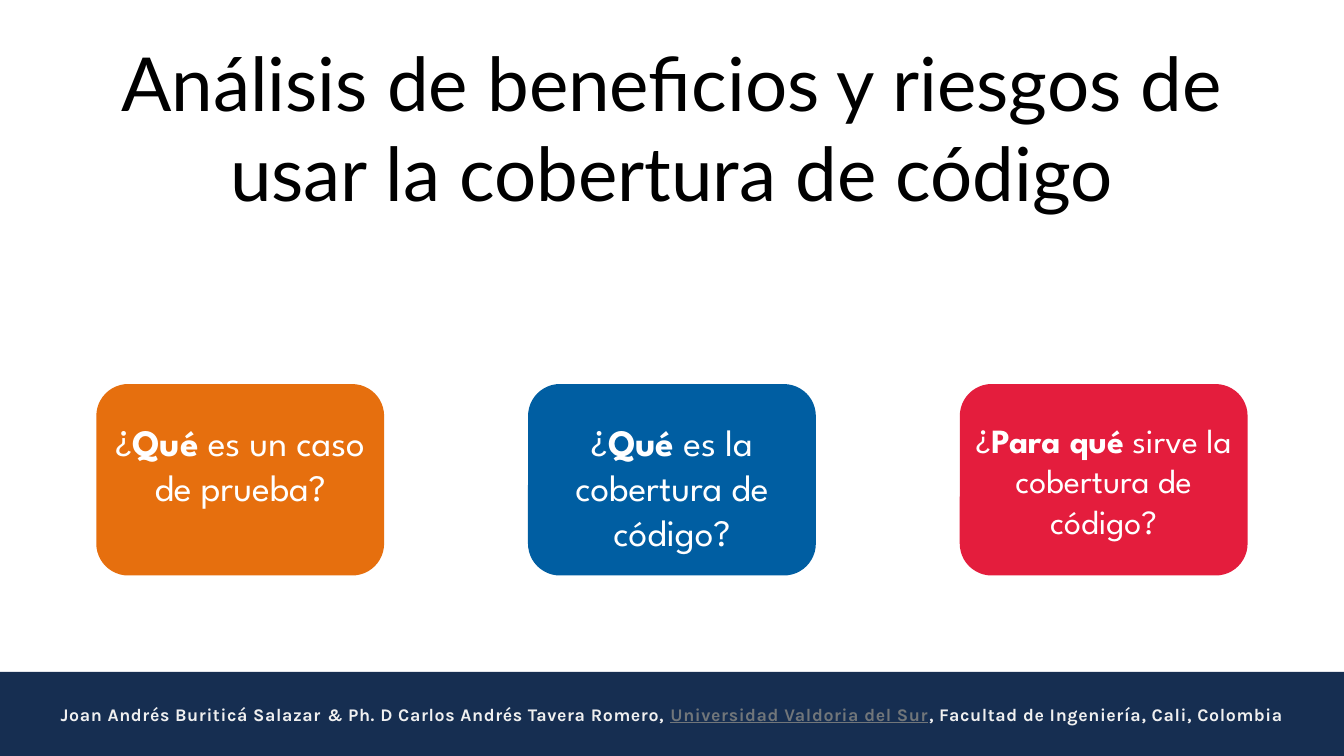
from pptx import Presentation
from pptx.dml.color import RGBColor
from pptx.enum.shapes import MSO_SHAPE as Shape
from pptx.enum.text import MSO_ANCHOR as Anchor, PP_ALIGN as Align
from pptx.util import Inches, Pt

COLORS = {
    "black": "000000", "white": "FFFFFF", "navy": "162E51", "light": "F0F0F0",
    "gray": "71767A", "orange": "E66F0E", "blue": "005EA2", "red": "E41D3D",
}


def add_block(kind, left, top, width, height, fill):
    """Add a filled shape without outline or shadow."""
    block = slide.shapes.add_shape(
        kind, Inches(left), Inches(top), Inches(width), Inches(height))
    block.shadow.inherit = False
    block.fill.solid()
    block.fill.fore_color.rgb = RGBColor.from_string(COLORS[fill])
    block.line.fill.background()
    return block


def add_run(paragraph, text, font_name, size, color, bold=False):
    """Append a formatted run to a centred paragraph."""
    paragraph.alignment = Align.CENTER
    run = paragraph.add_run()
    run.text = text
    run.font.name = font_name
    run.font.size = Pt(size)
    run.font.bold = bold
    run.font.color.rgb = RGBColor.from_string(COLORS[color])
    return run


prs = Presentation()
prs.slide_width, prs.slide_height = Inches(11.02), Inches(6.2)
slide = prs.slides.add_slide(prs.slide_layouts[6])

# Footer band with authors and affiliation
footer = add_block(Shape.RECTANGLE, 0, 5.51, 11.02, 0.69, "navy").text_frame
footer.word_wrap = False
footer.vertical_anchor = Anchor.MIDDLE
credits = [
    ("Joan Andrés Buriticá Salazar ", "light", False, False),
    ("&", "light", True, False),
    (" Ph. D Carlos Andrés Tavera Romero, ", "light", False, False),
    ("Universidad Valdoria del Sur", "gray", False, True),
    (", Facultad de Ingeniería, Cali, Colombia", "light", False, False),
]
for text, color, italic, underline in credits:
    credit = add_run(footer.paragraphs[0], text, "Karla", 10.5, color, bold=True)
    credit.font.italic = italic
    credit.font.underline = underline
    credit._r.get_or_add_rPr().set("spc", "40")

# Title
title = slide.shapes.add_textbox(
    Inches(0.55), Inches(0.12), Inches(9.92), Inches(1.84)).text_frame
title.word_wrap = True
title.vertical_anchor = Anchor.MIDDLE
title.margin_left = title.margin_right = title.margin_top = title.margin_bottom = 0
add_run(title.paragraphs[0],
        "Análisis de beneficios y riesgos de usar la cobertura de código",
        "Lato", 44, "black")

# Question cards, evenly spaced
CARD_LEFT, CARD_STEP, CARD_WIDTH = 0.79, 3.54, 2.36
questions = [
    ("orange", 22, "Qué", " es un caso de prueba?"),
    ("blue", 22, "Qué", " es la cobertura de código?"),
    ("red", 20, "Para qué", " sirve la cobertura de código?"),
]
for index, (fill, size, keyword, ending) in enumerate(questions):
    left = CARD_LEFT + index * CARD_STEP
    add_block(Shape.ROUNDED_RECTANGLE, left, 3.15, CARD_WIDTH, 1.57, fill)
    question = slide.shapes.add_textbox(
        Inches(left), Inches(3.39), Inches(CARD_WIDTH), Inches(1.35)).text_frame
    question.word_wrap = True
    for text, bold in (("¿", False), (keyword, True), (ending, False)):
        add_run(question.paragraphs[0], text, "League Spartan", size, "white", bold)

prs.save("out.pptx")
